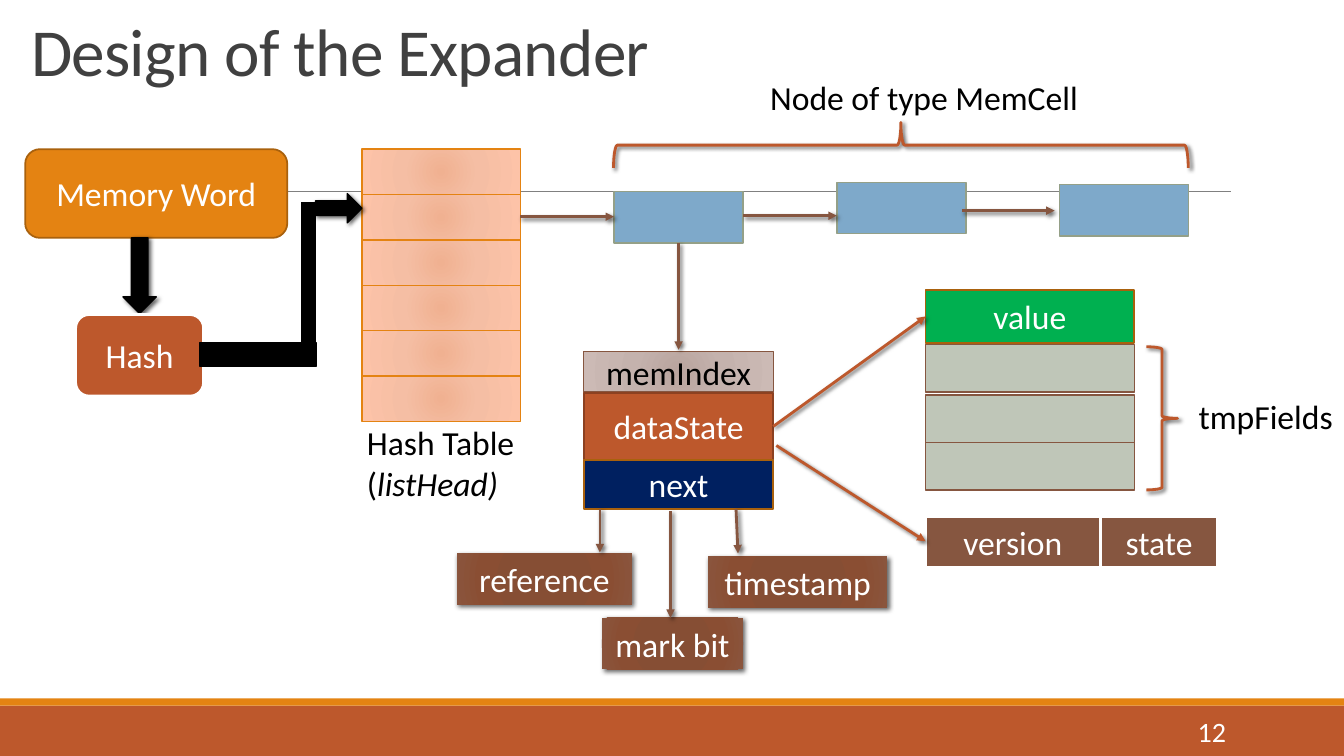
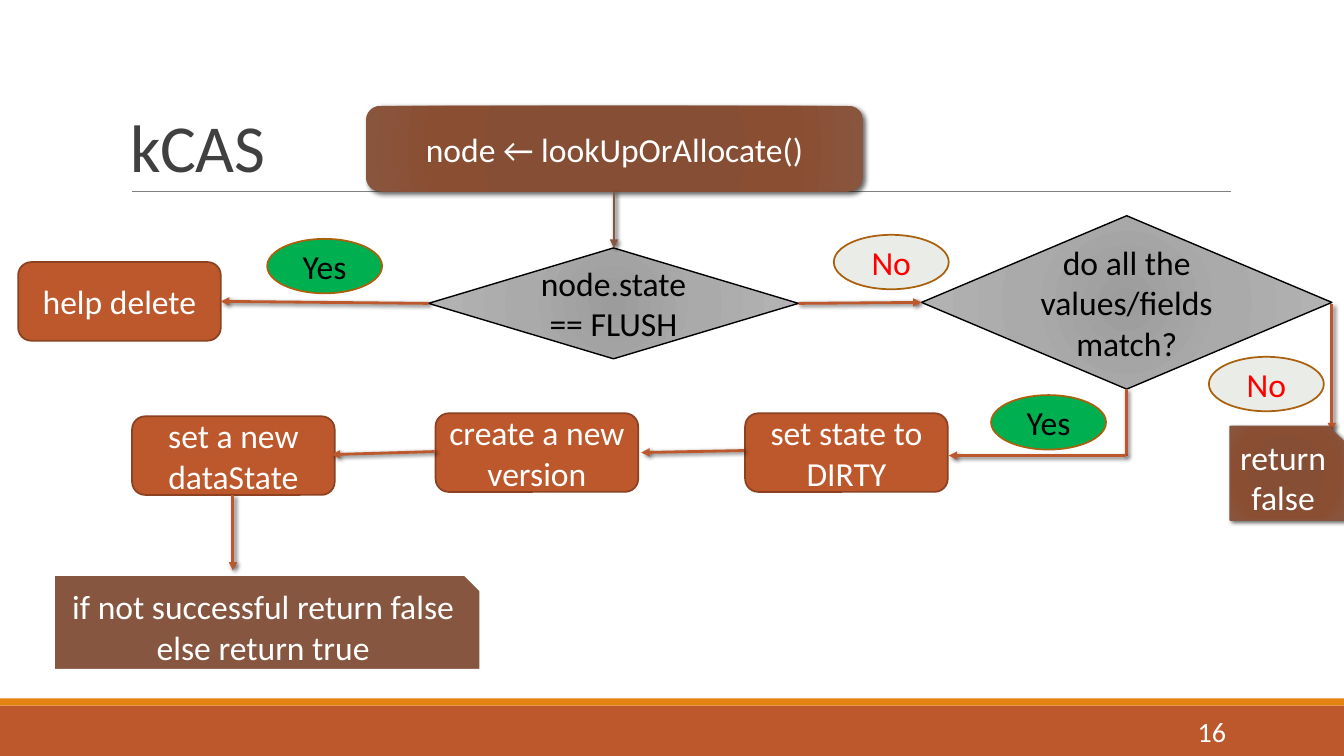
from pptx import Presentation
from pptx.dml.color import RGBColor as RGB
from pptx.enum.shapes import MSO_CONNECTOR as LINK, MSO_SHAPE as FORM
from pptx.enum.text import MSO_ANCHOR as ANCHOR, PP_ALIGN as ALIGN
from pptx.oxml import parse_xml
from pptx.oxml.ns import nsdecls, qn
from pptx.util import Emu, Pt

PX = 9144
NS = nsdecls("a")

WHITE = RGB(0xFF, 0xFF, 0xFF)
BLACK = RGB(0x00, 0x00, 0x00)
INK = RGB(0x40, 0x40, 0x40)
GRAY = RGB(0x80, 0x80, 0x80)
RUST = RGB(0xBD, 0x58, 0x2C)
DARK = RGB(0x8C, 0x41, 0x21)
AMBER = RGB(0xE4, 0x83, 0x12)
OCHRE = RGB(0xA9, 0x61, 0x0D)
BROWN = RGB(0x86, 0x56, 0x40)
BLUE = RGB(0x7E, 0xA9, 0xCA)
OLIVE = RGB(0x94, 0xA0, 0x88)
SAGE = RGB(0xBF, 0xC6, 0xB8)
PALE = RGB(0xEA, 0xEC, 0xE7)
GREEN = RGB(0x00, 0xB0, 0x50)
NAVY = RGB(0x00, 0x20, 0x60)
RED = RGB(0xFF, 0x00, 0x00)

PEACH = [(0, "F0B191"), (45, "F5BEA4"), (100, "FDC3A8")]
MAUVE = [(0, "B9A49E"), (45, "C4B2AD"), (100, "CCBAB5")]
STEEL = [(0, "9C9C9C"), (45, "AAAAAA"), (100, "B4B4B4")]
COCOA = [(0, "874C32"), (34, "864E34"), (70, "8A4E33"), (100, "8A553D")]

CAST = (f'<a:effectLst {NS}><a:outerShdw blurRad="%d" dist="25400" dir="2700000" '
        'rotWithShape="0"><a:srgbClr val="000000"><a:alpha val="60000"/></a:srgbClr>'
        '</a:outerShdw></a:effectLst>')
FLAT = f"<a:effectLst {NS}/>"


def put(slide, box, text="", form=None, fill=None, edge=None, shade=0, turn=0,
        size=24, color=WHITE, align=ALIGN.CENTER, anchor=ANCHOR.MIDDLE,
        wrap=True, slant="", lead=None, track=None):
    place = [Emu(v * PX) for v in box]
    if form is None:
        shape = slide.shapes.add_textbox(*place)
    else:
        shape = slide.shapes.add_shape(form, *place)
        shape.rotation = turn
        if isinstance(fill, list):
            stops = "".join(f'<a:gs pos="{pos * 1000}"><a:srgbClr val="{tint}"/></a:gs>'
                            for pos, tint in fill)
            shape._element.spPr.append(parse_xml(
                f'<a:gradFill {NS} rotWithShape="1"><a:gsLst>{stops}</a:gsLst>'
                '<a:path path="circle"><a:fillToRect l="100000" t="100000" r="100000" '
                'b="100000"/></a:path></a:gradFill>'))
        elif fill is None:
            shape.fill.background()
        else:
            shape.fill.solid()
            shape.fill.fore_color.rgb = fill
        if edge:
            shape.line.color.rgb, shape.line.width = edge[0], Pt(edge[1])
        else:
            shape.line.fill.background()
        shape._element.spPr.append(parse_xml(CAST % Pt(shade) if shade else FLAT))
    if not text:
        return
    frame = shape.text_frame
    frame.word_wrap = wrap
    frame.vertical_anchor = anchor
    para = frame.paragraphs[0]
    para.text = text
    para.alignment = align
    if lead:
        para.line_spacing = lead
    if slant:
        run = para.add_run()
        run.text = slant
        run.font.italic = True
    for run in para.runs:
        run.font.name = "Calibri"
        run.font.size = Pt(size)
        run.font.color.rgb = color
        if track:
            run._r.get_or_add_rPr().set("spc", str(track))


def join(slide, ends, color, width=2, head=True, shade=3):
    line = slide.shapes.add_connector(LINK.STRAIGHT, *[Emu(v * PX) for v in ends])
    line.line.color.rgb = color
    line.line.width = Pt(width)
    props = line._element.spPr
    if head:
        props.find(qn("a:ln")).append(parse_xml(f'<a:tailEnd {NS} type="triangle"/>'))
    props.append(parse_xml(CAST % Pt(shade) if shade else FLAT))


deck = Presentation()
deck.slide_width, deck.slide_height = Emu(1333 * PX), Emu(750 * PX)
pages = []
for title, box, number in (("Design of the Expander", (21, -31, 833, 125), "12"),
                           ("kCAS", (120, 31, 1100, 159), "16")):
    page = deck.slides.add_slide(deck.slide_layouts[6])
    put(page, (0, 700, 1333, 50), form=FORM.RECTANGLE, fill=RUST)
    put(page, (0, 693, 1333, 7), form=FORM.RECTANGLE, fill=AMBER)
    join(page, (131, 190, 1221, 190), GRAY, width=0.5, head=False, shade=0)
    put(page, box, title, size=48, color=INK, align=ALIGN.LEFT,
        anchor=ANCHOR.BOTTOM, lead=0.85, track=-50)
    put(page, (1083, 706, 143, 40), number, size=20, align=ALIGN.RIGHT)
    pages.append(page)
heap, flow = pages

put(heap, (25, 148, 260, 88), "Memory Word", form=FORM.ROUNDED_RECTANGLE,
    fill=AMBER, edge=(OCHRE, 1.25))
put(heap, (101, 257, 75, 33), form=FORM.RIGHT_ARROW, fill=BLACK,
    edge=(BLACK, 1), shade=3, turn=90)
put(heap, (75, 312, 127, 81), "Hash", form=FORM.ROUNDED_RECTANGLE,
    fill=RUST, edge=(WHITE, 2))
for row in range(6):
    put(heap, (359, 148 + 45 * row, 157, 45), form=FORM.RECTANGLE,
        fill=PEACH, edge=(AMBER, 1))
put(heap, (313, 192, 46, 29), form=FORM.RIGHT_ARROW, fill=BLACK,
    edge=(BLACK, 1), shade=3)
for box in ((299, 201, 14, 150), (198, 340, 116, 23)):
    put(heap, box, form=FORM.RECTANGLE, fill=BLACK, edge=(BLACK, 1.25))
for left, top in ((609, 190), (1051, 183), (830, 181)):
    put(heap, (left, top, 128, 51), form=FORM.RECTANGLE, fill=BLUE, edge=(OLIVE, 1))

for top, high, name, fill, edge, color in (
        (349, 40, "memIndex", MAUVE, (BROWN, 1), BLACK),
        (390, 66, "dataState", RUST, (DARK, 1.25), WHITE),
        (456, 49, "next", NAVY, (OCHRE, 1.25), WHITE)):
    put(heap, (579, top, 188, high), name, form=FORM.RECTANGLE,
        fill=fill, edge=edge, color=color)
put(heap, (918, 288, 207, 52), "value", form=FORM.RECTANGLE,
    fill=GREEN, edge=(OCHRE, 1.25))
for top in (342, 392, 439):
    put(heap, (918, top, 207, 47), form=FORM.RECTANGLE, fill=SAGE, edge=(BROWN, 1))
for left, wide, name in ((918, 173, "version"), (1092, 115, "state")):
    put(heap, (left, 512, wide, 51), name, form=FORM.RECTANGLE,
        fill=BROWN, edge=(WHITE, 2))
for left, top, wide, name in ((453, 549, 174, "reference"), (597, 613, 140, "mark bit"),
                              (702, 552, 178, "timestamp")):
    put(heap, (left, top, wide, 51), name, form=FORM.RECTANGLE, fill=COCOA, shade=3.5)

put(heap, (1137, 344, 31, 142), form=FORM.RIGHT_BRACE, edge=(RUST, 2), shade=3)
put(heap, (871, -141, 45, 570), form=FORM.LEFT_BRACE, edge=(RUST, 2), shade=3, turn=90)
for box, name, slant in (((1179, 388, 154, 50), "tmpFields", ""),
                         ((354, 414, 168, 91), "Hash Table\n(", "listHead)"),
                         ((754, 71, 328, 50), "Node of type MemCell", "")):
    put(heap, box, name, color=BLACK, align=ALIGN.LEFT, anchor=ANCHOR.TOP,
        wrap=False, slant=slant)

for ends in ((516, 215, 609, 215), (737, 214, 830, 214), (954, 209, 1046, 209),
             (673, 241, 673, 347), (665, 507, 665, 613), (595, 505, 595, 548),
             (730, 505, 732, 549)):
    join(heap, ends, BROWN)
for ends in ((767, 423, 918, 314), (770, 442, 918, 537)):
    join(heap, ends, RUST)

put(flow, (363, 105, 493, 85), "node ← lookUpOrAllocate()",
    form=FORM.ROUNDED_RECTANGLE, fill=COCOA, shade=3.5)
for box, name in (((425, 246, 367, 110), "node.state == FLUSH"),
                  ((914, 214, 407, 172), "do all the values/fields match?")):
    put(flow, box, name, form=FORM.FLOWCHART_DECISION, fill=STEEL,
        edge=(BLACK, 1), color=BLACK)
join(flow, (609, 190, 609, 246), BROWN)
for left, top, name, fill, color in ((827, 233, "No", PALE, RED),
                                     (1199, 354, "No", PALE, RED),
                                     (265, 237, "Yes", GREEN, BLACK),
                                     (983, 392, "Yes", GREEN, BLACK)):
    put(flow, (left, top, 114, 54), name, form=FORM.OVAL, fill=fill,
        edge=(OCHRE, 1.25), color=color)
for left, top, name in ((18, 260, "help delete"), (739, 410, "set state to DIRTY"),
                        (432, 410, "create a new\nversion"),
                        (131, 413, "set a new dataState")):
    put(flow, (left, top, 201, 78), name, form=FORM.ROUNDED_RECTANGLE,
        fill=RUST, edge=(DARK, 1.25))
join(flow, (1321, 302, 1321, 428), RUST)
put(flow, (1220, 423, 113, 93), "return false", form=FORM.SNIP_1_RECTANGLE,
    fill=COCOA, edge=(BROWN, 1), shade=3)
put(flow, (53, 570, 424, 95), "if not successful return false else return true",
    form=FORM.SNIP_1_RECTANGLE, fill=BROWN, edge=(WHITE, 2))
join(flow, (1117, 386, 1117, 452), RUST, head=False)
for ends in ((425, 301, 219, 299), (792, 301, 914, 300), (1117, 452, 941, 452),
             (738, 447, 636, 449), (431, 448, 329, 451), (231, 491, 231, 566)):
    join(flow, ends, RUST)

deck.save("out.pptx")
